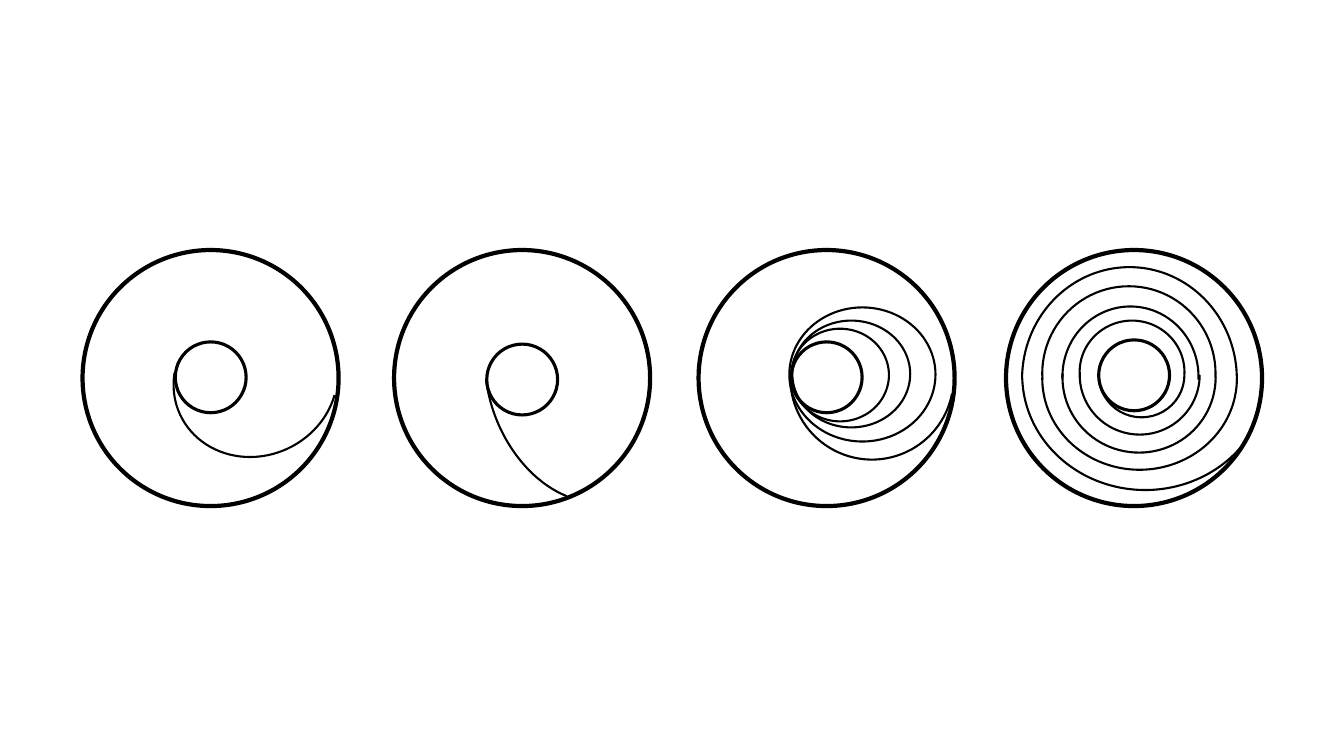
from pptx import Presentation
from pptx.dml.color import RGBColor as Rgb
from pptx.enum.shapes import MSO_SHAPE as Preset
from pptx.util import Pt

COLORS = {"ink": "000000"}
WEIGHTS = {"rim": 3, "hub": 2.25, "curve": 1.5}
RIM_TOP, RIM_SIZE = 178.6, 182.9
HUB_LEFT, HUB_SIZE = 66.2, 50.6

# curve: left, top, width, height within the rim, then rotation, start, end for arcs
DISCS = [
    {"left": 59, "hub_top": 65.6, "grouped": True, "curves": [
        (64.1, 38.2, 118.8, 108.7, 155.2, 129.55, 17.8),
    ]},
    {"left": 281.5, "hub_top": 67.2, "grouped": True, "curves": [
        (69.1, 16.6, 117.4, 166.3, 157.6, 177.48, 17.8),
    ]},
    {"left": 499, "hub_top": 65.6, "grouped": True, "curves": [
        (66.2, 56.2, 69.8, 66.2),
        (67, 50.4, 84.2, 76.3),
        (64.8, 41, 104.4, 95.8),
        (65.5, 33.1, 116.6, 116.6, 155.2, 129.55, 15.17),
    ]},
    {"left": 718.6, "hub_top": 64.2, "grouped": False, "curves": [
        (52.6, 46.8, 85.7, 85, 180, 107.84, 1.64),
        (40.3, 40.3, 97.2, 100.1, 0, 107.24, 1.64),
        (40.3, 37.4, 109.4, 107.3, 180, 107.84, 1.64),
        (25.9, 25.9, 123.8, 124.6, 0, 105.73, 1.64),
        (11.5, 7.2, 175.7, 164.2, 180, 129.22, 214.97),
        (52.6, 50.4, 74.9, 73.4, 0, 107.84, 0.87),
        (66.2, 59, 61.2, 60.5, 180, 106.14, 1.64),
        (25.9, 26.6, 139, 130.3, 180, 107.84, 0.29),
        (11.5, 12.2, 153.4, 159.8, 0, 107.84, 0.7),
    ]},
]


def add_outline(shapes, disc_left, role, left, top, width, height, *sweep):
    preset = Preset.ARC if sweep else Preset.OVAL
    outline = shapes.add_shape(
        preset, Pt(disc_left + left), Pt(RIM_TOP + top), Pt(width), Pt(height))
    outline.shadow.inherit = False
    outline.fill.background()
    outline.line.color.rgb = Rgb.from_string(COLORS["ink"])
    outline.line.width = Pt(WEIGHTS[role])
    if sweep:
        outline.rotation, outline.adjustments[0], outline.adjustments[1] = sweep


def add_disc(page, disc):
    shapes = page.shapes.add_group_shape().shapes if disc["grouped"] else page.shapes
    left = disc["left"]
    add_outline(shapes, left, "rim", 0, 0, RIM_SIZE, RIM_SIZE)
    add_outline(shapes, left, "hub", HUB_LEFT, disc["hub_top"], HUB_SIZE, HUB_SIZE)
    for curve in disc["curves"]:
        add_outline(shapes, left, "curve", *curve)


def main():
    deck = Presentation()
    deck.slide_width, deck.slide_height = Pt(960), Pt(540)
    page = deck.slides.add_slide(deck.slide_layouts[6])
    for disc in DISCS:
        add_disc(page, disc)
    deck.save("out.pptx")


if __name__ == "__main__":
    main()
